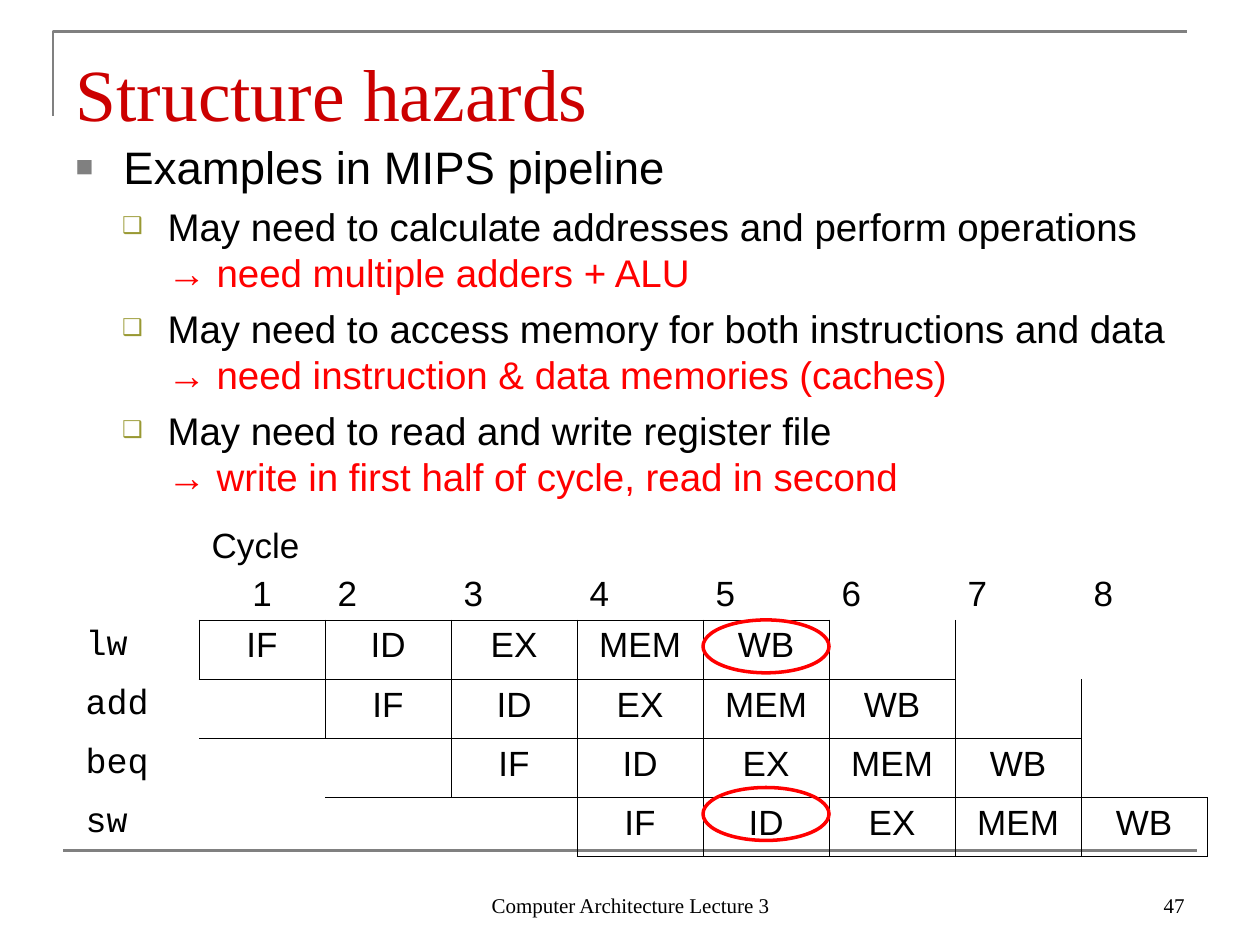
import pptx
import pptx.dml.color
import pptx.enum.shapes
import pptx.enum.text
import pptx.oxml
import pptx.oxml.ns
import pptx.util
from dataclasses import dataclass
from lxml import etree
from pptx.util import Inches

ALIGN = pptx.enum.text.PP_ALIGN
ANCHOR = pptx.enum.text.MSO_ANCHOR
RGB = pptx.dml.color.RGBColor.from_string
qn = pptx.oxml.ns.qn


@dataclass(frozen=True)
class Theme:
    title: str = "CC0000"
    text: str = "000000"
    accent: str = "FF0000"
    rule: str = "808080"
    sub_bullet: str = "999933"
    serif: str = "Times New Roman"
    sans: str = "Arial"
    mono: str = "Courier New"
    title_size: int = 42
    topic_size: int = 26
    point_size: int = 22
    table_size: int = 20
    footer_size: int = 12


theme = Theme()


def write(para, text, font=theme.sans, size=theme.table_size, color=theme.text,
          align=ALIGN.LEFT, before=0):
    """Add one formatted span of text to a paragraph."""
    para.alignment = align
    para.space_before = pptx.util.Pt(before)
    span = para.add_run()
    span.text = text
    span.font.name = font
    span.font.size = pptx.util.Pt(size)
    span.font.color.rgb = RGB(color)


def set_bullet(para, margin, indent, char=None, color=None, percent=100):
    """Set a paragraph's indents and its bullet, or no bullet."""
    props = para._p.get_or_add_pPr()
    props.set("marL", str(Inches(margin)))
    props.set("indent", str(Inches(indent)))
    if char is None:
        etree.SubElement(props, qn("a:buNone"))
        return
    bullet_color = etree.SubElement(props, qn("a:buClr"))
    etree.SubElement(bullet_color, qn("a:srgbClr"), val=color)
    etree.SubElement(props, qn("a:buSzPct"), val=str(percent * 1000))
    etree.SubElement(props, qn("a:buFont"), typeface=theme.sans)
    etree.SubElement(props, qn("a:buChar"), char=char)


deck = pptx.Presentation()
deck.slide_width, deck.slide_height = Inches(10), Inches(7.5)
page = deck.slides.add_slide(deck.slide_layouts[1])

# Frame lines
builder = page.shapes.build_freeform(Inches(0.42), Inches(0.92), scale=1.0)
builder.add_line_segments([(Inches(0.42), Inches(0.25)), (Inches(9.42), Inches(0.25))], close=False)
corner = builder.convert_to_shape()
corner.fill.background()
corner.shadow.inherit = False
bottom_rule = page.shapes.add_connector(
    pptx.enum.shapes.MSO_CONNECTOR.STRAIGHT, Inches(0.5), Inches(6.75), Inches(9.5), Inches(6.75))
etree.SubElement(bottom_rule._element.spPr, qn("a:effectLst"))
for rule in (corner, bottom_rule):
    rule.line.color.rgb = RGB(theme.rule)
    rule.line.width = pptx.util.Pt(1.5)

# Footer
for left, width, text, align in ((3.42, 3.17, "Computer Architecture Lecture 3", ALIGN.CENTER),
                                 (7.17, 2.33, "47", ALIGN.RIGHT)):
    box = page.shapes.add_textbox(Inches(left), Inches(6.83), Inches(width), Inches(0.5))
    box.text_frame.word_wrap = True
    box.text_frame.vertical_anchor = ANCHOR.BOTTOM
    write(box.text_frame.paragraphs[0], text, font=theme.serif, size=theme.footer_size, align=align)

# Title and list
title, body = page.shapes.title, page.placeholders[1]
for holder, top, height, anchor in ((title, 0.3, 0.78, ANCHOR.BOTTOM), (body, 1, 3.08, ANCHOR.TOP)):
    holder.left, holder.top = Inches(0.5), Inches(top)
    holder.width, holder.height = Inches(9), Inches(height)
    holder.text_frame.auto_size = pptx.enum.text.MSO_AUTO_SIZE.NONE
    holder.text_frame.vertical_anchor = anchor
title.text_frame.margin_bottom = 0
write(title.text_frame.paragraphs[0], "Structure hazards",
      font=theme.serif, size=theme.title_size, color=theme.title)

body.text_frame.margin_top = Inches(0.1)
body.text_frame.margin_right = Inches(0.15)
topic = body.text_frame.paragraphs[0]
set_bullet(topic, 0.38, -0.38, "■", theme.rule, 65)
write(topic, "Examples in MIPS pipeline", size=theme.topic_size)

points = [
    ("May need to calculate addresses and perform operations ", "→ need multiple adders + ALU"),
    ("May need to access memory for both instructions and data ",
     "→ need instruction & data memories (caches)"),
    ("May need to read and write register file", None),
    (None, "→ write in first half of cycle, read in second"),
]
for need, remedy in points:
    para = body.text_frame.add_paragraph()
    para.level = 1
    before = 5.5 if need else 0
    if need:
        set_bullet(para, 0.73, -0.36, "❑", theme.sub_bullet, 60)
        write(para, need, size=theme.point_size, before=before)
    else:
        set_bullet(para, 0.73, 0)
    if remedy:
        write(para, remedy, size=theme.point_size, color=theme.accent, before=before)

# Pipeline table: each instruction starts one cycle after the one above
instructions = ["lw", "add", "beq", "sw"]
stages = ["IF", "ID", "EX", "MEM", "WB"]
cycles = len(instructions) + len(stages) - 1
table_left, table_top, header_height, row_height = 0.58, 4.08, 0.84, 0.47
frame = page.shapes.add_table(
    len(instructions) + 1, cycles + 1, Inches(table_left), Inches(table_top),
    Inches(cycles + 1), Inches(header_height + row_height * len(instructions)))
table = frame.table
table.first_row = table.horz_banding = False
frame._element.find(".//" + qn("a:tableStyleId")).text = "{2D5ABB26-0587-4C30-8999-92F81FD0307C}"
for column in table.columns:
    column.width = Inches(1)
for index, row in enumerate(table.rows):
    row.height = Inches(row_height if index else header_height)

stage_at = {(row, row + step): stage
            for row in range(1, len(instructions) + 1) for step, stage in enumerate(stages)}
sides = {"lnL": (0, -1), "lnR": (0, 1), "lnT": (-1, 0), "lnB": (1, 0)}
for row in range(len(instructions) + 1):
    for column in range(cycles + 1):
        cell = table.cell(row, column)
        props = cell._tc.get_or_add_tcPr()
        for side, (down, right) in sides.items():
            if (row, column) in stage_at or (row + down, column + right) in stage_at:
                edge = etree.SubElement(props, qn("a:" + side), w=str(pptx.util.Pt(0.45)))
                fill = etree.SubElement(edge, qn("a:solidFill"))
                etree.SubElement(fill, qn("a:srgbClr"), val=theme.text)
        cell.fill.background()
        para = cell.text_frame.paragraphs[0]
        if row == 0:
            cell.vertical_anchor = ANCHOR.BOTTOM
            if column == 1:
                write(para, "Cycle")
                write(cell.text_frame.add_paragraph(), "1", align=ALIGN.CENTER, before=5)
            elif column > 1:
                write(para, str(column))
        elif column == 0:
            write(para, instructions[row - 1], font=theme.mono)
        elif (row, column) in stage_at:
            write(para, stage_at[row, column], align=ALIGN.CENTER)

# Register file conflict in cycle 5
for top in (4.92, 6.25):
    ring = page.shapes.add_shape(pptx.enum.shapes.MSO_SHAPE.OVAL,
                                 Inches(table_left + 5), Inches(top), Inches(1), Inches(0.42))
    ring.fill.background()
    ring.line.color.rgb = RGB(theme.accent)
    ring.line.width = pptx.util.Pt(2)
    ring.shadow.inherit = False

deck.save("out.pptx")
